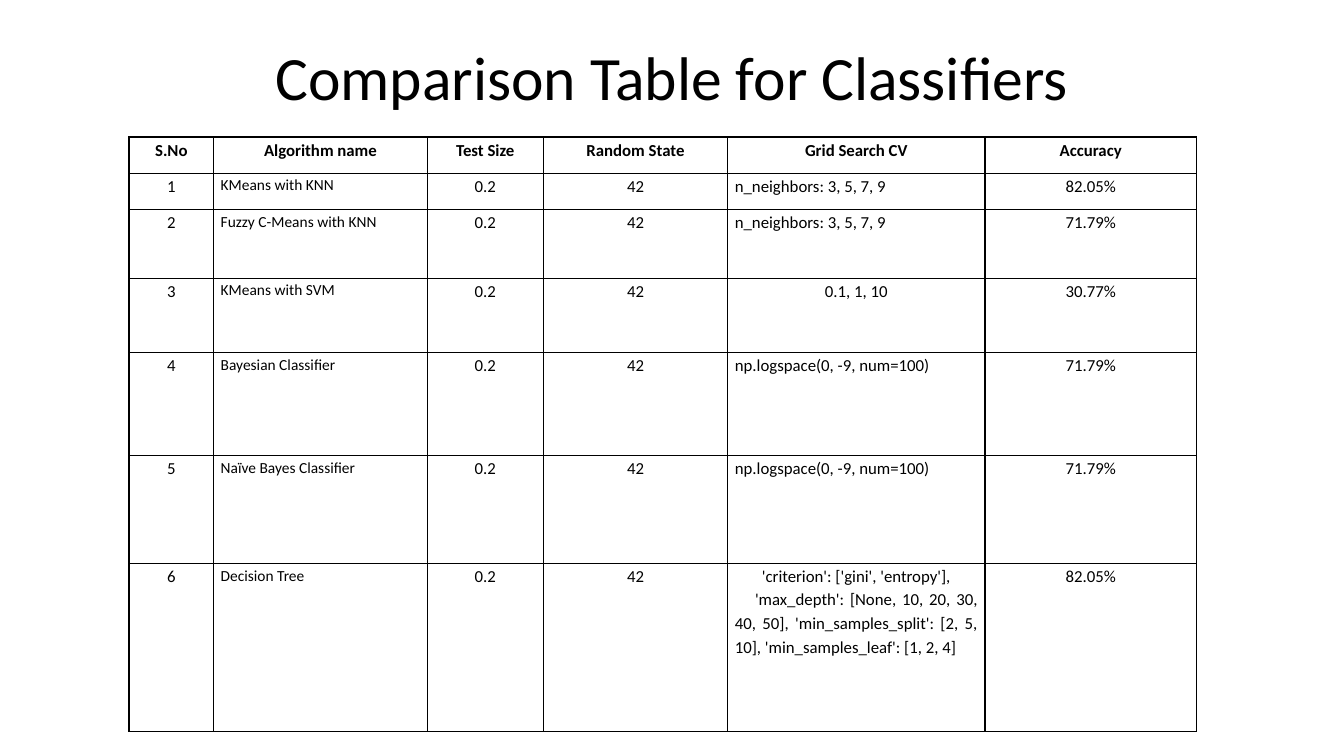
import lxml.etree
import pptx
import pptx.dml.color
import pptx.enum.text
import pptx.oxml.ns
import pptx.util

BLACK = pptx.dml.color.RGBColor(0, 0, 0)
ALIGN = pptx.enum.text.PP_ALIGN
ANCHOR = pptx.enum.text.MSO_ANCHOR

HEADINGS = ["S.No", "Algorithm name", "Test Size", "Random State", "Grid Search CV", "Accuracy"]
TREE_GRID = (
    "'criterion': ['gini', 'entropy'],\n"
    "'max_depth': [None, 10, 20, 30, 40, 50], 'min_samples_split': [2, 5, 10], "
    "'min_samples_leaf': [1, 2, 4]"
)
CLASSIFIERS = [
    ("KMeans with KNN", "n_neighbors: 3, 5, 7, 9", "82.05%"),
    ("Fuzzy C-Means with KNN", "n_neighbors: 3, 5, 7, 9", "71.79%"),
    ("KMeans with SVM", "0.1, 1, 10", "30.77%"),
    ("Bayesian Classifier", "np.logspace(0, -9, num=100)", "71.79%"),
    ("Naïve Bayes Classifier", "np.logspace(0, -9, num=100)", "71.79%"),
    ("Decision Tree", TREE_GRID, "82.05%"),
]
COLUMN_WIDTHS = [6.3, 15.9, 8.63, 13.73, 19.13, 15.75]
ROW_HEIGHTS = [4.8, 4.8, 9.07, 9.87, 13.6, 14.27, 22.27]
NAME_COLUMN, GRID_COLUMN = 1, 4
CENTRED_GRIDS = ("0.1, 1, 10", "'criterion': ['gini', 'entropy'],")


class SlideBuilder:
    """Draws styled elements on one slide, with lengths in percent of its size."""

    font = "Calibri"

    def __init__(self, deck):
        self.deck = deck
        self.page = deck.slides.add_slide(deck.slide_layouts.get_by_name("Title Only"))

    def across(self, percent):
        return round(self.deck.slide_width * percent / 100)

    def down(self, percent):
        return round(self.deck.slide_height * percent / 100)

    def format_para(self, para, size, align, spacing, bold=False):
        para.alignment = align
        para.line_spacing = spacing
        for span in para.runs:
            span.font.name = self.font
            span.font.size = pptx.util.Pt(size)
            span.font.bold = bold
            span.font.color.rgb = BLACK

    def title(self, text, left, top, width, height):
        box = self.page.shapes.title
        box.left, box.top = self.across(left), self.down(top)
        box.width, box.height = self.across(width), self.down(height)
        frame = box.text_frame
        frame.text = text
        frame.auto_size = pptx.enum.text.MSO_AUTO_SIZE.NONE
        frame.vertical_anchor = ANCHOR.MIDDLE
        self.format_para(frame.paragraphs[0], 44, ALIGN.CENTER, 0.9)

    def border(self, cell):
        properties = cell._tc.get_or_add_tcPr()
        for position, side in enumerate(("a:lnL", "a:lnR", "a:lnT", "a:lnB")):
            line = lxml.etree.Element(pptx.oxml.ns.qn(side), w=str(pptx.util.Pt(1)))
            fill = lxml.etree.SubElement(line, pptx.oxml.ns.qn("a:solidFill"))
            lxml.etree.SubElement(fill, pptx.oxml.ns.qn("a:srgbClr"), val=str(BLACK))
            properties.insert(position, line)

    def cell(self, cell, text, row, column):
        cell.fill.background()
        cell.margin_left = cell.margin_right = pptx.util.Inches(0.07)
        cell.margin_top = cell.margin_bottom = 0
        cell.vertical_anchor = ANCHOR.TOP
        cell.text_frame.text = text
        size = 11 if row and column == NAME_COLUMN else 12
        for position, para in enumerate(cell.text_frame.paragraphs):
            justified = row and column in (NAME_COLUMN, GRID_COLUMN) and para.text not in CENTRED_GRIDS
            align = ALIGN.JUSTIFY if justified else ALIGN.CENTER
            self.format_para(para, size, align, 1.15, bold=row == 0)
            if position:
                para._p.get_or_add_pPr().set("indent", str(pptx.util.Inches(0.2)))
        self.border(cell)

    def table(self, records, left, top, widths, heights):
        frame = self.page.shapes.add_table(
            len(heights), len(widths), self.across(left), self.down(top),
            self.across(sum(widths)), self.down(sum(heights)),
        )
        table = frame.table
        table.first_row = table.horz_banding = False
        for column, width in zip(table.columns, widths):
            column.width = self.across(width)
        for row, (height, record) in enumerate(zip(heights, records)):
            table.rows[row].height = self.down(height)
            for column, text in enumerate(record):
                self.cell(table.cell(row, column), text, row, column)


def main():
    deck = pptx.Presentation()
    deck.slide_width, deck.slide_height = pptx.util.Inches(13.33), pptx.util.Inches(7.5)
    builder = SlideBuilder(deck)
    builder.title("Comparison Table for Classifiers", 6.9, 5.33, 86.25, 10.53)
    records = [HEADINGS] + [
        [str(number), name, "0.2", "42", grid, accuracy]
        for number, (name, grid, accuracy) in enumerate(CLASSIFIERS, 1)
    ]
    builder.table(records, 9.6, 18.13, COLUMN_WIDTHS, ROW_HEIGHTS)
    deck.save("out.pptx")


if __name__ == "__main__":
    main()
